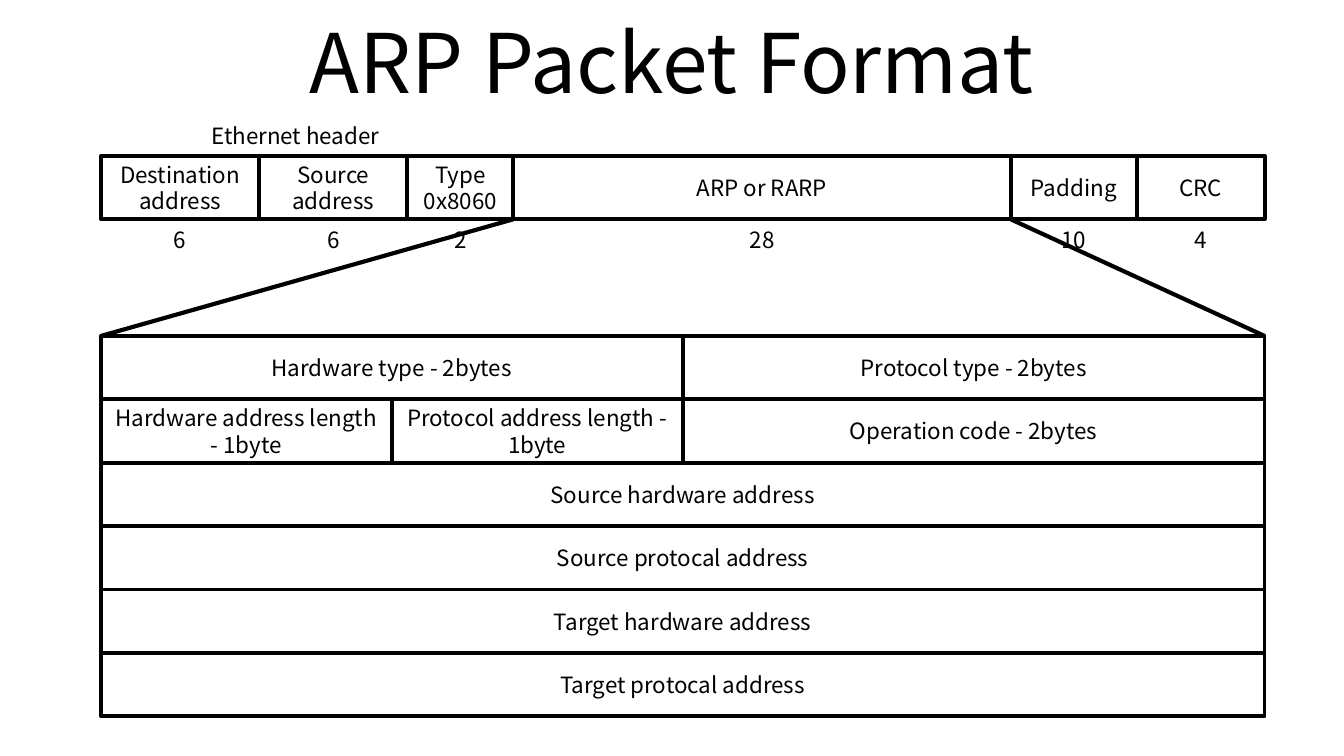
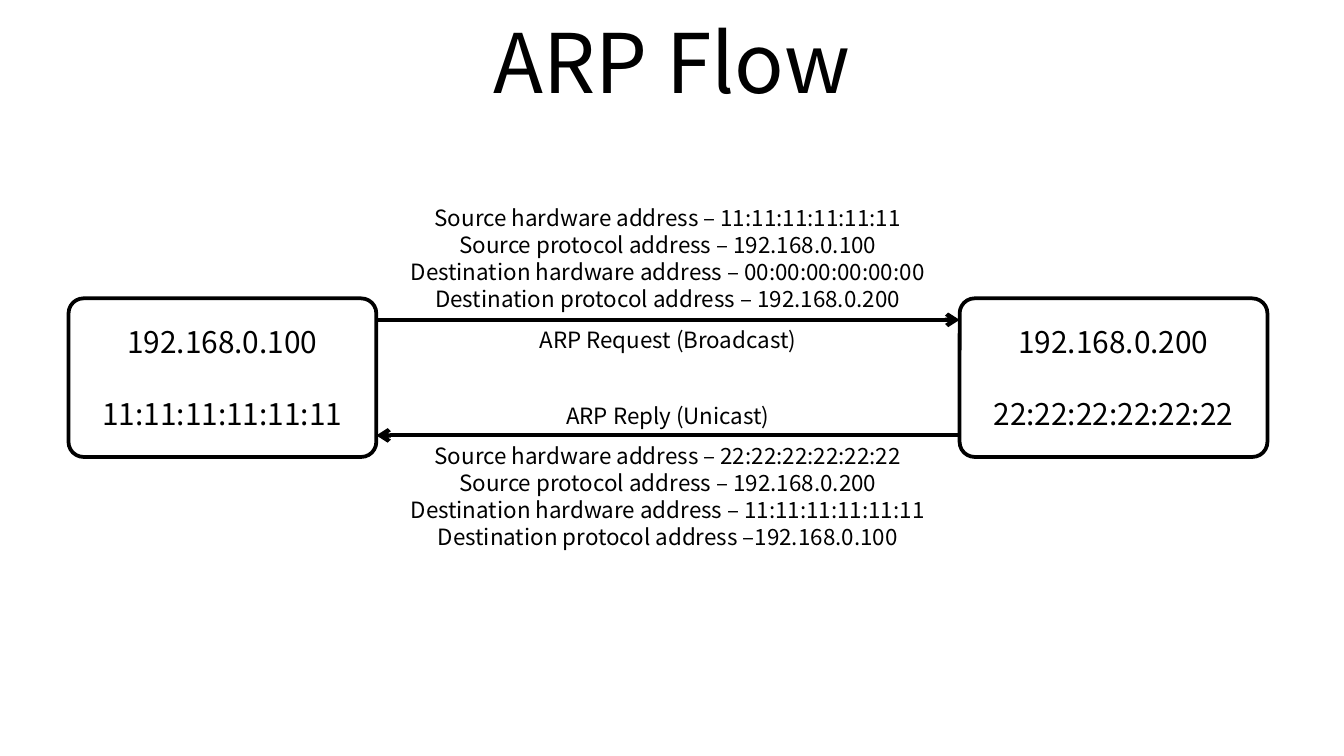
import pptx
import pptx.util
import pptx.dml.color
import pptx.enum.shapes
import pptx.enum.text
import pptx.oxml
import pptx.oxml.ns
from itertools import accumulate

Inches, Pt = pptx.util.Inches, pptx.util.Pt
SHAPES = pptx.enum.shapes.MSO_SHAPE
ANCHOR = pptx.enum.text.MSO_ANCHOR

# Shared style
BLACK = pptx.dml.color.RGBColor(0x00, 0x00, 0x00)
WHITE = pptx.dml.color.RGBColor(0xFF, 0xFF, 0xFF)
FONT = "Noto Sans CJK KR"
TITLE_SIZE, NODE_SIZE, BODY_SIZE = 44, 16, 12
LINE_PITCH = 1.2
WIDTH = 10
HEIGHT = WIDTH * 9 / 16

# Packet content: frame fields as (lines, width, bytes)
FRAME = [
    (["Destination address"], 1.18, "6"),
    (["Source address"], 1.10, "6"),
    (["Type", "0x8060"], 0.79, "2"),
    (["ARP or RARP"], 3.70, "28"),
    (["Padding"], 0.94, "10"),
    (["CRC"], 0.95, "4"),
]
PAYLOAD_FIELD = 3
# Payload rows: each cell is (text, quarters of the row)
PAYLOAD = [
    [("Hardware type - 2bytes", 2), ("Protocol type - 2bytes", 2)],
    [("Hardware address length - 1byte", 1),
     ("Protocol address length - 1byte", 1),
     ("Operation code - 2bytes", 2)],
    [("Source hardware address", 4)],
    [("Source protocal address", 4)],
    [("Target hardware address", 4)],
    [("Target protocal address", 4)],
]

# Flow content
HOSTS = [
    ["192.168.0.100", "11:11:11:11:11:11"],
    ["192.168.0.200", "22:22:22:22:22:22"],
]
REQUEST = [
    "Source hardware address – 11:11:11:11:11:11",
    "Source protocol address – 192.168.0.100",
    "Destination hardware address – 00:00:00:00:00:00",
    "Destination protocol address – 192.168.0.200",
]
REPLY = [
    "Source hardware address – 22:22:22:22:22:22",
    "Source protocol address – 192.168.0.200",
    "Destination hardware address – 11:11:11:11:11:11",
    "Destination protocol address –192.168.0.100",
]

# Packet grid
LEFT, FRAME_TOP, PAYLOAD_TOP = 0.75, 1.16, 2.5
TABLE_WIDTH = sum(width for _, width, _ in FRAME)
ROW = (5.33 - PAYLOAD_TOP) / len(PAYLOAD)
LABEL_HEIGHT = 0.3

# Flow grid
HOST_LEFTS, HOST_TOP = (0.51, 7.14), 2.22
HOST_WIDTH, HOST_HEIGHT = 2.29, 1.18
REQUEST_Y, REPLY_Y = 2.38, 3.24
DETAIL_HEIGHT = 0.91


def write(box, lines, size, anchor, gap=0):
    """Fill a shape with centred lines, with a gap in points between them."""
    frame = box.text_frame
    frame.word_wrap = True
    frame.vertical_anchor = anchor
    for index, line in enumerate(lines):
        para = frame.add_paragraph() if index else frame.paragraphs[0]
        para.text = line
        para.alignment = pptx.enum.text.PP_ALIGN.CENTER
        para.line_spacing = Pt(size * LINE_PITCH)
        para.space_before = Pt(gap if index else 0)
        para.font.name = FONT
        para.font.size = Pt(size)
        para.font.color.rgb = BLACK


def add_text(page, lines, left, top, width, height,
             size=BODY_SIZE, anchor=ANCHOR.TOP):
    box = page.shapes.add_textbox(*map(Inches, (left, top, width, height)))
    write(box, lines, size, anchor)


def add_box(page, lines, left, top, width, height,
            kind=SHAPES.RECTANGLE, size=BODY_SIZE, gap=0):
    box = page.shapes.add_shape(
        kind, *map(Inches, (left, top, width, height)))
    box.shadow.inherit = False
    box.fill.solid()
    box.fill.fore_color.rgb = WHITE
    box.line.color.rgb = BLACK
    box.line.width = Pt(2)
    write(box, lines, size, ANCHOR.MIDDLE, gap)
    return box


def add_line(page, start, end, arrow=False):
    line = page.shapes.add_connector(
        pptx.enum.shapes.MSO_CONNECTOR.STRAIGHT,
        *map(Inches, (*start, *end)))
    line.line.color.rgb = BLACK
    line.line.width = Pt(2.25)
    qn = pptx.oxml.ns.qn
    properties = line._element.spPr
    if arrow:
        outline = properties.find(qn("a:ln"))
        outline.append(outline.makeelement(
            qn("a:tailEnd"), {"type": "arrow"}))
    properties.append(properties.makeelement(qn("a:effectLst"), {}))


def add_page(deck, title):
    page = deck.slides.add_slide(deck.slide_layouts[6])
    page.background.fill.solid()
    page.background.fill.fore_color.rgb = WHITE
    add_text(page, [title], 0.05 * WIDTH, -0.02, 0.9 * WIDTH, 0.94,
             TITLE_SIZE, ANCHOR.MIDDLE)
    return page


deck = pptx.Presentation()
deck.slide_width, deck.slide_height = Inches(WIDTH), Inches(HEIGHT)

# Packet format: Ethernet frame
page = add_page(deck, "ARP Packet Format")
edges = list(accumulate((width for _, width, _ in FRAME), initial=LEFT))
frame_bottom = FRAME_TOP + ROW
for (lines, width, _), left in zip(FRAME, edges):
    add_box(page, lines, left, FRAME_TOP, width, ROW)

# Packet format: payload cells
quarter = TABLE_WIDTH / 4
for row, cells in enumerate(PAYLOAD):
    column = 0
    for text, span in cells:
        add_box(page, [text], LEFT + column * quarter,
                PAYLOAD_TOP + row * ROW, span * quarter, ROW)
        column += span

# Packet format: zoom lines and labels
for edge, corner in ((edges[PAYLOAD_FIELD], LEFT),
                     (edges[PAYLOAD_FIELD + 1], LEFT + TABLE_WIDTH)):
    add_line(page, (edge, frame_bottom), (corner, PAYLOAD_TOP))
label_width = 0.71
for (_, width, count), left in zip(FRAME, edges):
    add_text(page, [count], left + (width - label_width) / 2, frame_bottom,
             label_width, LABEL_HEIGHT)
add_text(page, ["Ethernet header"], 0.98, FRAME_TOP - LABEL_HEIGHT,
         2.44, LABEL_HEIGHT)

# Flow: hosts
page = add_page(deck, "ARP Flow")
for lines, left in zip(HOSTS, HOST_LEFTS):
    host = add_box(page, lines, left, HOST_TOP, HOST_WIDTH, HOST_HEIGHT,
                   SHAPES.ROUNDED_RECTANGLE, NODE_SIZE,
                   gap=NODE_SIZE * LINE_PITCH)
    host.adjustments[0] = 0.095

# Flow: messages, centred between the hosts
near, far = HOST_LEFTS[0] + HOST_WIDTH, HOST_LEFTS[1]
add_line(page, (near, REQUEST_Y), (far, REQUEST_Y), arrow=True)
add_line(page, (far, REPLY_Y), (near, REPLY_Y), arrow=True)
for lines, top, width, height in (
        (["ARP Request (Broadcast)"], REQUEST_Y, 2.74, LABEL_HEIGHT),
        (["ARP Reply (Unicast)"], REPLY_Y - LABEL_HEIGHT, 2.74, LABEL_HEIGHT),
        (REQUEST, REQUEST_Y - DETAIL_HEIGHT, 4.16, DETAIL_HEIGHT),
        (REPLY, REPLY_Y, 4.16, DETAIL_HEIGHT)):
    add_text(page, lines, (near + far - width) / 2, top, width, height)

deck.save("out.pptx")
